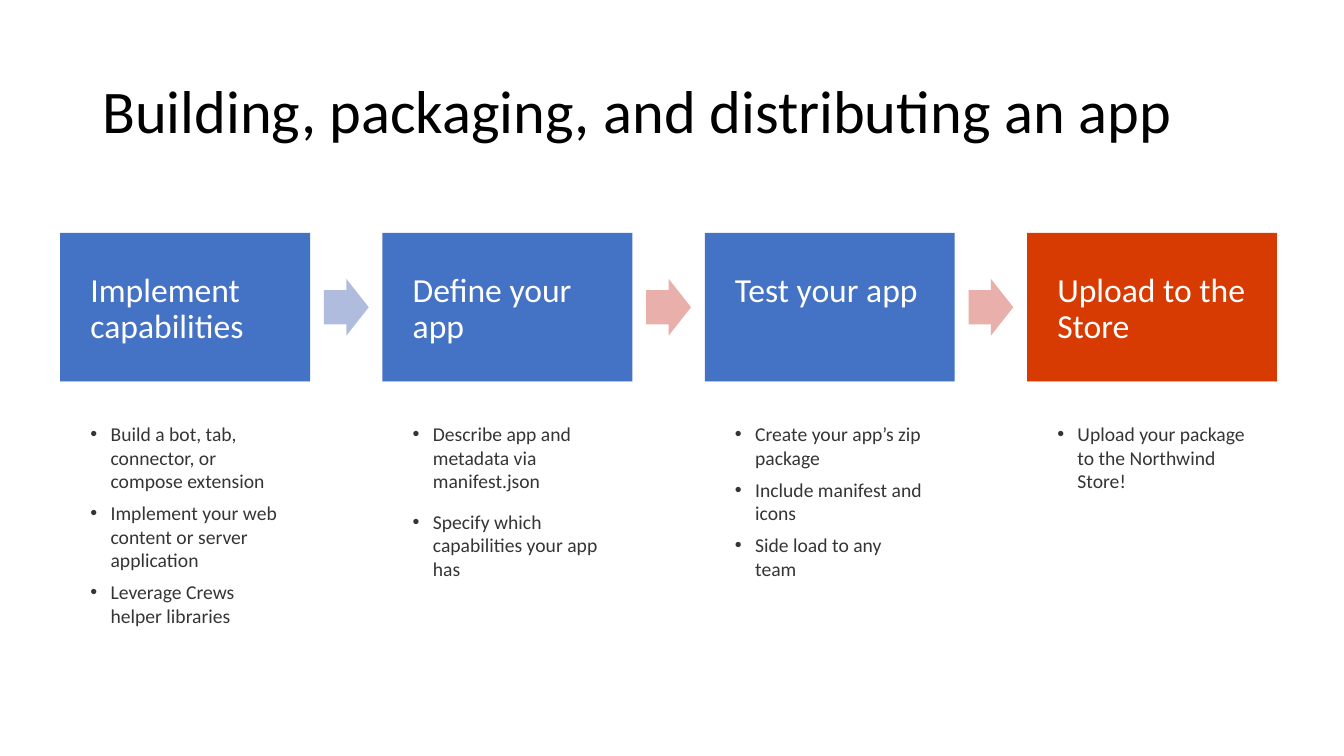
from lxml import etree
from pptx import Presentation
from pptx.dml.color import RGBColor
from pptx.enum.shapes import MSO_SHAPE as Preset
from pptx.enum.text import MSO_ANCHOR as Anchor, PP_ALIGN as Align
from pptx.oxml.ns import qn
from pptx.util import Pt

CARD_LEFT, CARD_PITCH, CARD_WIDTH = 43, 230.2, 178.5
HEADING_TOP, HEADING_HEIGHT, DETAIL_HEIGHT = 166.3, 106.4, 204.5
ARROW_OFFSET, ARROW_WIDTH, ARROW_HEIGHT = 41.8, 32, 40.6
BLUE, ORANGE, LAVENDER, PINK = "4472C4", "D83B01", "B0BCDE", "E9AFAA"

STEPS = [
    ("Implement capabilities", BLUE, None, 6, [
        "Build a bot, tab, connector, or compose extension",
        "Implement your web content or server application",
        "Leverage Crews helper libraries"]),
    ("Define your app", BLUE, LAVENDER, 12, [
        "Describe app and metadata via manifest.json",
        "Specify which capabilities your app has"]),
    ("Test your app", BLUE, PINK, 6, [
        "Create your app’s zip package",
        "Include manifest and icons",
        "Side load to any team"]),
    ("Upload to the Store", ORANGE, PINK, 6, [
        "Upload your package to the Northwind Store!"]),
]


def color(value):
    """Turn a hex string into a colour."""
    return RGBColor.from_string(value)


class ProcessSlide:
    """Hold the text style and the slide, and draw each kind of element."""

    def __init__(self, slide, font="Calibri"):
        """Keep the slide and its font."""
        self.slide = slide
        self.font = font

    def add_text(self, paragraph, text, size, ink):
        """Add one left-aligned run to a paragraph."""
        paragraph.alignment = Align.LEFT
        run = paragraph.add_run()
        run.text = text
        run.font.name = self.font
        run.font.size = Pt(size)
        run.font.color.rgb = color(ink)

    def title(self, text, left, top, width, height):
        """Add the slide title."""
        box = self.slide.shapes.add_textbox(Pt(left), Pt(top), Pt(width), Pt(height))
        frame = box.text_frame
        frame.word_wrap = True
        frame.vertical_anchor = Anchor.MIDDLE
        frame.paragraphs[0].line_spacing = 0.9
        self.add_text(frame.paragraphs[0], text, 43.2, "000000")

    def shape(self, preset, left, top, width, height, fill):
        """Add a flat filled shape without an outline."""
        shape = self.slide.shapes.add_shape(preset, Pt(left), Pt(top), Pt(width), Pt(height))
        shape.shadow.inherit = False
        shape.fill.solid()
        shape.fill.fore_color.rgb = color(fill)
        shape.line.fill.background()
        return shape

    def panel(self, left, top, height, fill):
        """Add a card panel and return its text frame."""
        frame = self.shape(Preset.RECTANGLE, left, top, CARD_WIDTH, height, fill).text_frame
        frame.word_wrap = True
        frame.vertical_anchor = Anchor.TOP
        frame.margin_left = frame.margin_right = Pt(21.6)
        frame.margin_top = frame.margin_bottom = Pt(28.8)
        return frame

    def heading(self, left, text, fill):
        """Add the coloured heading of a step."""
        paragraph = self.panel(left, HEADING_TOP, HEADING_HEIGHT, fill).paragraphs[0]
        paragraph.line_spacing = 0.9
        self.add_text(paragraph, text, 24, "FFFFFF")

    def details(self, left, items, gap):
        """Add the bulleted details under a heading."""
        frame = self.panel(left, HEADING_TOP + HEADING_HEIGHT, DETAIL_HEIGHT, "FFFFFF")
        for index, item in enumerate(items):
            paragraph = frame.add_paragraph() if index else frame.paragraphs[0]
            paragraph.space_after = Pt(gap)
            self.add_text(paragraph, item, 14, "353535")
            self.bullet(paragraph)

    def bullet(self, paragraph, indent=14.4):
        """Give a paragraph a hanging bullet."""
        properties = paragraph._p.get_or_add_pPr()
        properties.set("marL", str(Pt(indent)))
        properties.set("indent", str(-Pt(indent)))
        etree.SubElement(properties, qn("a:buFont")).set("typeface", "Arial")
        etree.SubElement(properties, qn("a:buChar")).set("char", "•")

    def arrow(self, left, fill):
        """Add an arrow centred on the height of the headings."""
        top = HEADING_TOP + (HEADING_HEIGHT - ARROW_HEIGHT) / 2
        arrow = self.shape(Preset.RIGHT_ARROW, left, top, ARROW_WIDTH, ARROW_HEIGHT, fill)
        arrow.adjustments[0] = 0.6
        arrow.adjustments[1] = 0.5


def main():
    """Build the slide and save it."""
    presentation = Presentation()
    presentation.slide_width, presentation.slide_height = Pt(960), Pt(540)
    process = ProcessSlide(presentation.slides.add_slide(presentation.slide_layouts[6]))
    process.title("Building, packaging, and distributing an app", 66, 28.8, 828, 104.4)
    for index, (heading, fill, arrow_fill, gap, items) in enumerate(STEPS):
        left = CARD_LEFT + index * CARD_PITCH
        if arrow_fill:
            process.arrow(left - ARROW_OFFSET, arrow_fill)
        process.heading(left, heading, fill)
        process.details(left, items, gap)
    presentation.save("out.pptx")


if __name__ == "__main__":
    main()
